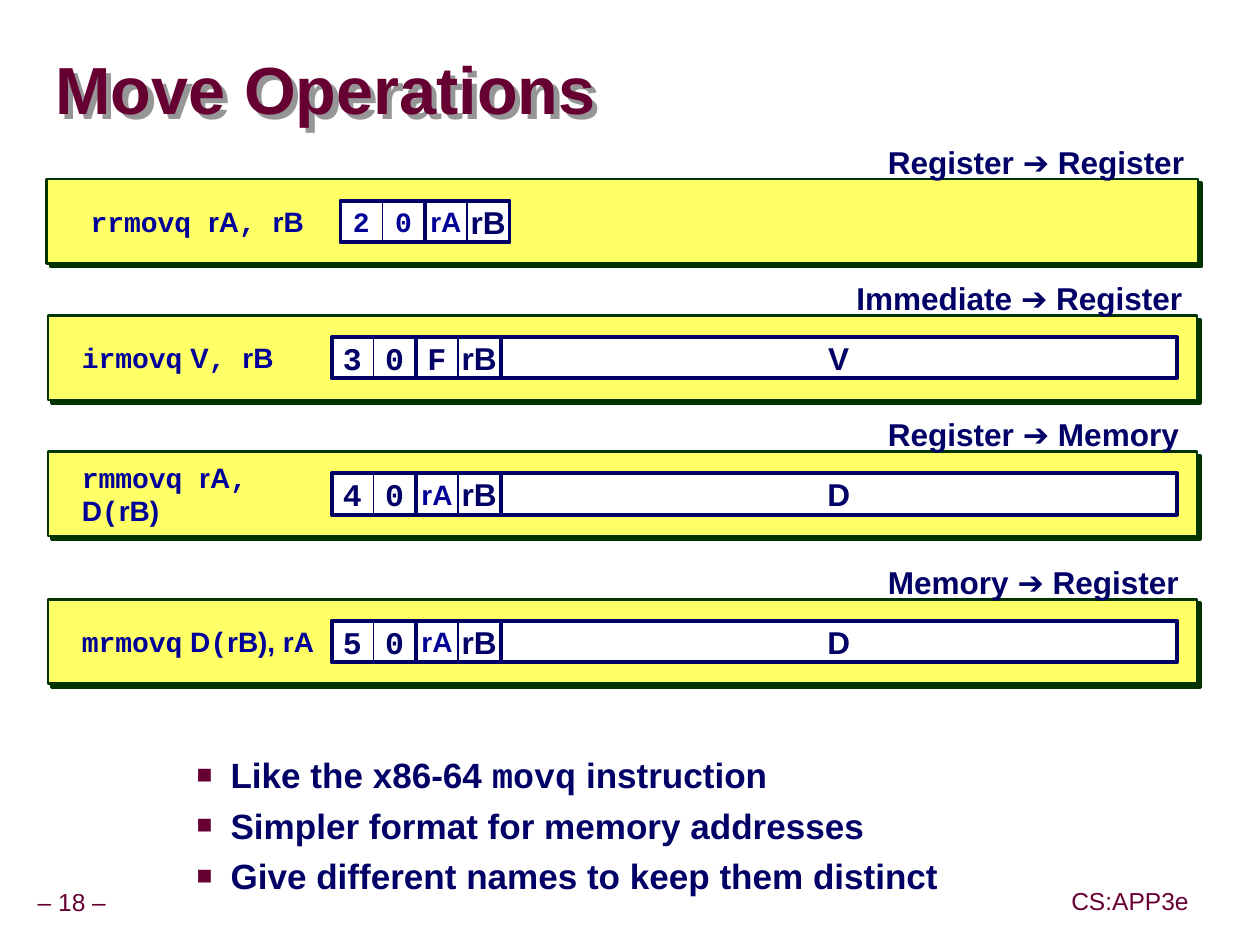
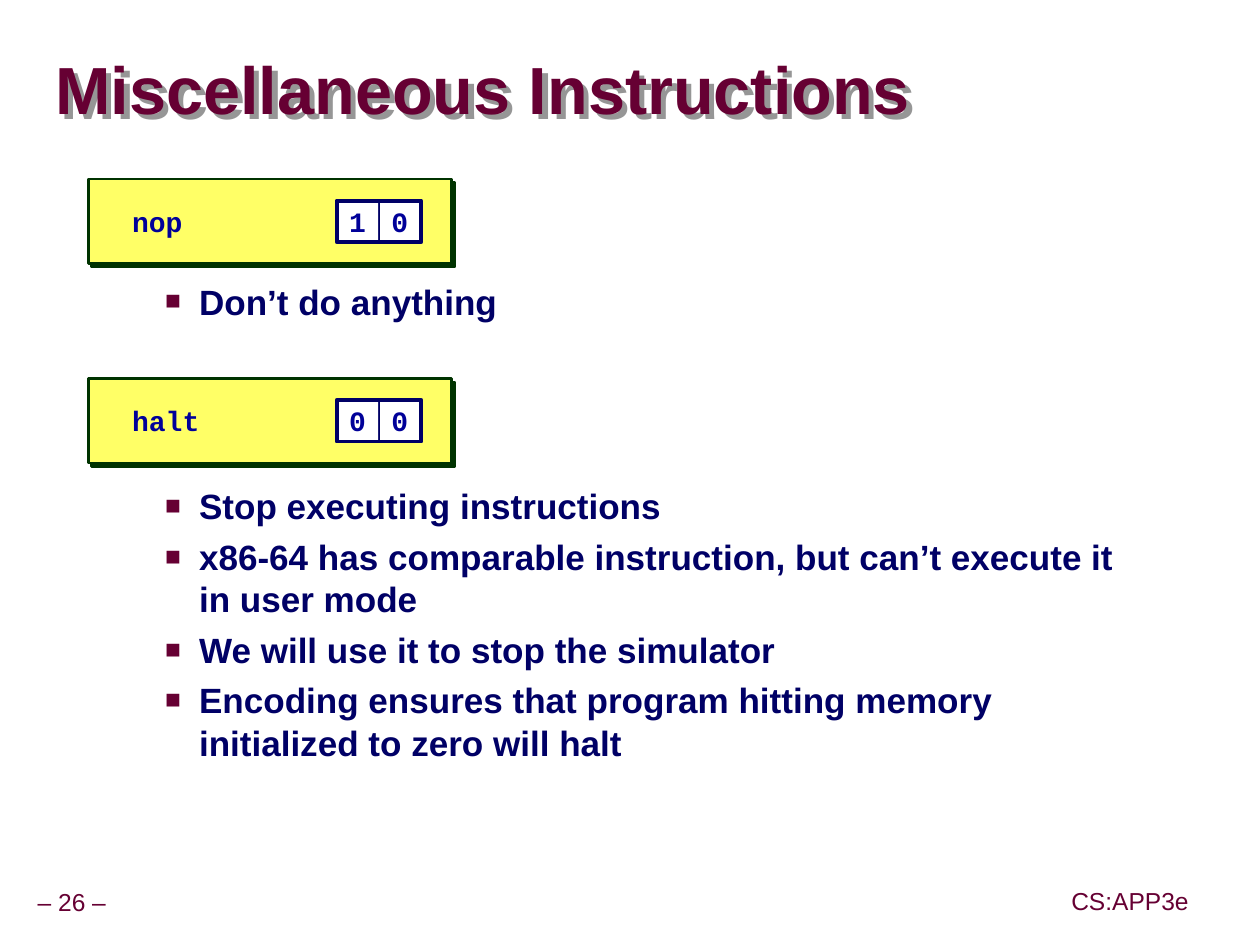
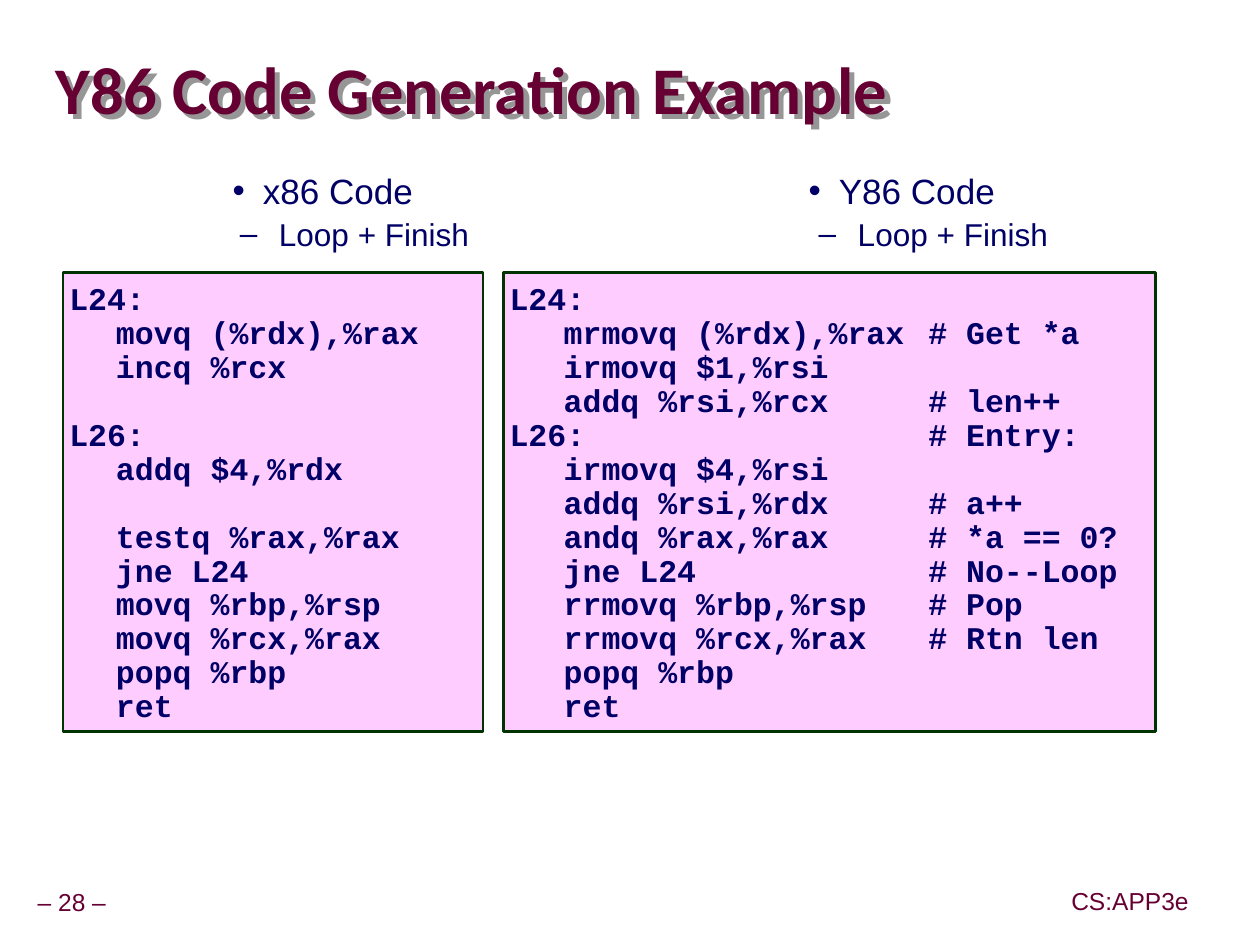
from lxml import etree
from pptx import Presentation, util as u
from pptx.dml.color import RGBColor
from pptx.enum import shapes, text
from pptx.oxml import ns

# Shared colours
MAROON = RGBColor(0x66, 0x00, 0x33)
NAVY = RGBColor(0x00, 0x00, 0x66)
BLUE = RGBColor(0x00, 0x00, 0x99)
GREEN = RGBColor(0x00, 0x33, 0x00)
YELLOW = RGBColor(0xFF, 0xFF, 0x66)
PINK = RGBColor(0xFF, 0xCC, 0xFF)
GREY = RGBColor(0x96, 0x96, 0x96)
WHITE = RGBColor(0xFF, 0xFF, 0xFF)

# Shared text formats
SANS, MONO = "Arial", "Courier New"
TITLE = dict(name=SANS, size=u.Pt(38), bold=True, color=MAROON)
FOOTER = dict(name=SANS, size=u.Pt(14), color=MAROON)
BODY = dict(name=SANS, size=u.Pt(20), bold=True, color=NAVY)
STRONG = dict(BODY, size=u.Pt(18))
CODE = dict(STRONG, name=MONO)
BLUE_SANS = dict(name=SANS, size=u.Pt(16), bold=True, color=BLUE)
BLUE_MONO = dict(BLUE_SANS, name=MONO)
LABEL = dict(name=SANS, size=u.Pt(20), color=NAVY)
SUBLABEL = dict(LABEL, size=u.Pt(18))

LEFT, CENTER = text.PP_ALIGN.LEFT, text.PP_ALIGN.CENTER
TOP, MIDDLE = text.MSO_ANCHOR.TOP, text.MSO_ANCHOR.MIDDLE
CELL = 0.33
PAIR = 0.67
BAND_HEIGHT = 0.67


# ---- Basic parts ----
def add_node(parent, tag, **values):
    return etree.SubElement(parent, ns.qn(tag), values)


def set_frame(box, inset=None, wrap=False, anchor=TOP):
    frame = box.text_frame
    values = dict(word_wrap=wrap, vertical_anchor=anchor)
    if inset is not None:
        for side in ("left", "top", "right", "bottom"):
            values["margin_" + side] = u.Inches(inset)
    for name, value in values.items():
        setattr(frame, name, value)
    return frame


def add_spans(para, spans, align=LEFT):
    para.alignment = align
    for words, style in spans:
        span = para.add_run()
        span.text = words
        for name, value in style.items():
            if name == "color":
                span.font.color.rgb = value
            else:
                setattr(span.font, name, value)


def add_paragraph(frame, number):
    return frame.add_paragraph() if number else frame.paragraphs[0]


def add_text(page, at, spans, inset=None, align=LEFT, anchor=MIDDLE, wrap=False):
    box = page.shapes.add_textbox(*map(u.Inches, at))
    frame = set_frame(box, inset, wrap, anchor)
    add_spans(frame.paragraphs[0], spans, align)
    return box


def add_rect(page, at, fill, line, width):
    box = page.shapes.add_shape(shapes.MSO_SHAPE.RECTANGLE, *map(u.Inches, at))
    box.shadow.inherit = False
    if fill is None:
        box.fill.background()
    else:
        box.fill.solid()
        box.fill.fore_color.rgb = fill
    box.line.color.rgb = line
    box.line.width = u.Pt(width)
    return box


def add_shadow(box, color, distance):
    box.shadow.inherit = False
    effects = box._element.spPr.find(ns.qn("a:effectLst"))
    shadow = add_node(effects, "a:outerShdw", dist=str(u.Pt(distance)),
                      dir="2700000", algn="ctr", rotWithShape="0")
    add_node(shadow, "a:srgbClr", val=str(color))


def set_bullet(para, char, margin, hang, color=None, percent=None):
    props = para._p.get_or_add_pPr()
    props.set("marL", str(u.Inches(margin)))
    props.set("indent", str(-u.Inches(hang)))
    if color is not None:
        add_node(add_node(props, "a:buClr"), "a:srgbClr", val=str(color))
    if percent:
        add_node(props, "a:buSzPct", val=str(percent * 1000))
    add_node(props, "a:buFont", typeface=SANS)
    add_node(props, "a:buChar", char=char)


# ---- Slide frame: title and footers ----
def add_page(deck, title, number, font=SANS):
    page = deck.slides.add_slide(deck.slide_layouts[6])
    add_text(page, (0.24, 6.99, 0.66, 0.31), [(f"– {number} –", FOOTER)], 0.05, CENTER)
    add_text(page, (8.44, 6.98, 1.04, 0.32), [("CS:APP3e", FOOTER)], 0.05, CENTER)
    heading = add_text(page, (0.44, 0.27, 9.52, 0.85),
                       [(title, dict(TITLE, name=font))], 0, wrap=True)
    add_shadow(heading, GREY, 4.24)
    return page


def add_bullets(page, at, items):
    box = page.shapes.add_textbox(*map(u.Inches, at))
    frame = set_frame(box, wrap=True)
    for number, spans in enumerate(items):
        para = add_paragraph(frame, number)
        set_bullet(para, "■", 0.81, 0.27, MAROON, 75)
        para.line_spacing = u.Pt(24)
        if number:
            para.space_before = u.Pt(5)
        add_spans(para, spans)


# ---- Instruction band with its encoding ----
def add_cell(page, at, words, style, line=0.5):
    cell = add_rect(page, at, WHITE, NAVY, line)
    add_spans(set_frame(cell, anchor=MIDDLE).paragraphs[0], [(words, style)], CENTER)


def add_pair(page, left, top, fields):
    for number, (words, style) in enumerate(fields):
        add_cell(page, (left + number * PAIR / 2, top, CELL, CELL), words, style)
    add_rect(page, (left, top, PAIR, CELL), None, NAVY, 2.25)


def add_band(page, at, label, label_gap, code_gap, pairs, operand=None):
    left, top, width = at
    band = add_rect(page, (left, top, width, BAND_HEIGHT), YELLOW, GREEN, 1.5)
    add_shadow(band, GREEN, 2.83)
    row = top + (BAND_HEIGHT - CELL) / 2
    add_text(page, (left + label_gap, row, 2.08, CELL), label)
    start = left + code_gap
    for fields in pairs:
        add_pair(page, start, row, fields)
        start += PAIR
    if operand:
        add_cell(page, (start, row, 5.36, CELL), operand, STRONG, 2.25)


# ---- Code column: heading and listing ----
def add_code_heading(page, at, lines):
    box = page.shapes.add_textbox(*map(u.Inches, at))
    frame = set_frame(box, wrap=True)
    kinds = [("•", 0.24, 0.24, LABEL), ("–", 0.81, 0.31, SUBLABEL)]
    for number, (words, (char, margin, hang, style)) in enumerate(zip(lines, kinds)):
        para = add_paragraph(frame, number)
        set_bullet(para, char, margin, hang)
        para.line_spacing = u.Pt(20)
        if number:
            para.space_before = u.Pt(3.6)
        add_spans(para, [(words, style)], CENTER)


def add_listing(page, at, code, stops):
    box = add_rect(page, at, PINK, GREEN, 1.5)
    frame = set_frame(box, 0.05, wrap=True)
    frame.margin_top = u.Inches(0.08)
    for number, line in enumerate(code.strip().splitlines()):
        para = add_paragraph(frame, number)
        tabs = add_node(para._p.get_or_add_pPr(), "a:tabLst")
        for stop in stops:
            add_node(tabs, "a:tab", pos=str(u.Inches(stop)), algn="l")
        para.line_spacing = u.Pt(19.4)
        add_spans(para, [(line.replace("|", "\t"), CODE)] if line else [])


# ---- Slides ----
def add_move_page(deck):
    page = add_page(deck, "Move Operations", 18)
    r_a, r_b = ("rA", BLUE_SANS), ("rB", STRONG)
    comma = (", ", BLUE_MONO)
    # caption, caption left, band box, label gap, code gap, label, pairs, operand
    rows = [
        ("Register ➔ Register", 6.99, (0.37, 1.42, 9.13), 0.25, 2.33,
         [("rrmovq ", BLUE_MONO), r_a, comma, ("rB", BLUE_SANS)],
         [[("2", BLUE_MONO), ("0", BLUE_MONO)], [r_a, r_b]], None),
        ("Immediate ➔ Register", 6.74, (0.38, 2.5, 9.11), 0.17, 2.25,
         [("irmovq", BLUE_MONO), (" V", BLUE_SANS), comma, ("rB", BLUE_SANS)],
         [[("3", CODE), ("0", CODE)], [("F", CODE), r_b]], "V"),
        ("Register ➔ Memory", 6.99, (0.38, 3.58, 9.11), 0.17, 2.25,
         [("rmmovq ", BLUE_MONO), r_a, (",", BLUE_MONO), (" D", BLUE_SANS),
          ("(", BLUE_MONO), ("rB)", BLUE_SANS)],
         [[("4", CODE), ("0", CODE)], [r_a, r_b]], "D"),
        ("Memory ➔ Register", 6.99, (0.38, 4.75, 9.11), 0.17, 2.25,
         [("mrmovq", BLUE_MONO), (" D", BLUE_SANS), ("(", BLUE_MONO),
          ("rB), rA", BLUE_SANS)],
         [[("5", CODE), ("0", CODE)], [r_a, r_b]], "D"),
    ]
    for caption, left, at, label_gap, code_gap, label, pairs, operand in rows:
        add_band(page, at, label, label_gap, code_gap, pairs, operand)
        add_text(page, (left, at[1] - 0.34, 9.5 - left, 0.38),
                 [(caption, STRONG)], 0.05, anchor=TOP)
    add_bullets(page, (0.92, 5.92, 8.42, 1.38), [
        [("Like the x86-64 ", BODY), ("movq", dict(BODY, name=MONO)),
         (" instruction", BODY)],
        [("Simpler format for memory addresses", BODY)],
        [("Give different names to keep them distinct", BODY)],
    ])


def add_misc_page(deck):
    page = add_page(deck, "Miscellaneous Instructions", 26)
    # name, opcode, band top, notes top, notes height, notes
    rows = [
        ("nop", "10", 1.42, 2.17, 0.5, ["Don’t do anything"]),
        ("halt", "00", 3, 3.79, 2.4, [
            "Stop executing instructions",
            "x86-64 has comparable instruction, but can’t execute it in user mode",
            "We will use it to stop the simulator",
            "Encoding ensures that program hitting memory initialized to zero will halt",
        ]),
    ]
    for name, opcode, top, notes_top, height, notes in rows:
        add_band(page, (0.7, top, 2.88), [(name, BLUE_MONO)], 0.25, 1.97,
                 [[(digit, BLUE_MONO) for digit in opcode]])
        add_bullets(page, (0.67, notes_top, 8.42, height),
                    [[(note, BODY)] for note in notes])


# A bar marks a jump to the next tab stop
X86_CODE = """
L24:
|movq (%rdx),%rax
|incq %rcx

L26:
|addq $4,%rdx

|testq %rax,%rax
|jne L24
|movq %rbp,%rsp
|movq %rcx,%rax
|popq %rbp
|ret
"""
Y86_CODE = """
L24:
|mrmovq (%rdx),%rax|# Get *a
|irmovq $1,%rsi
|addq %rsi,%rcx|# len++
L26:|# Entry:
|irmovq $4,%rsi
|addq %rsi,%rdx|# a++
|andq %rax,%rax|# *a == 0?
|jne L24|# No--Loop
|rrmovq %rbp,%rsp|# Pop
|rrmovq %rcx,%rax|# Rtn len
|popq %rbp
|ret
"""


def add_code_page(deck):
    page = add_page(deck, "Y86 Code Generation Example", 28, "Calibri")
    columns = [
        ("x86 Code", 0.34, 0.5, 3.33, X86_CODE, [0.37]),
        ("Y86 Code", 4.93, 3.99, 5.17, Y86_CODE, [0.43, 3.32]),
    ]
    for heading, heading_left, left, width, code, stops in columns:
        add_code_heading(page, (heading_left, 1.35, 4.44, 0.75),
                         [heading, "Loop + Finish"])
        add_listing(page, (left, 2.16, width, 3.64), code, stops)


def main():
    deck = Presentation()
    deck.slide_width, deck.slide_height = u.Inches(9.99), u.Inches(7.49)
    for add_slide in (add_move_page, add_misc_page, add_code_page):
        add_slide(deck)
    deck.save("out.pptx")


if __name__ == "__main__":
    main()
